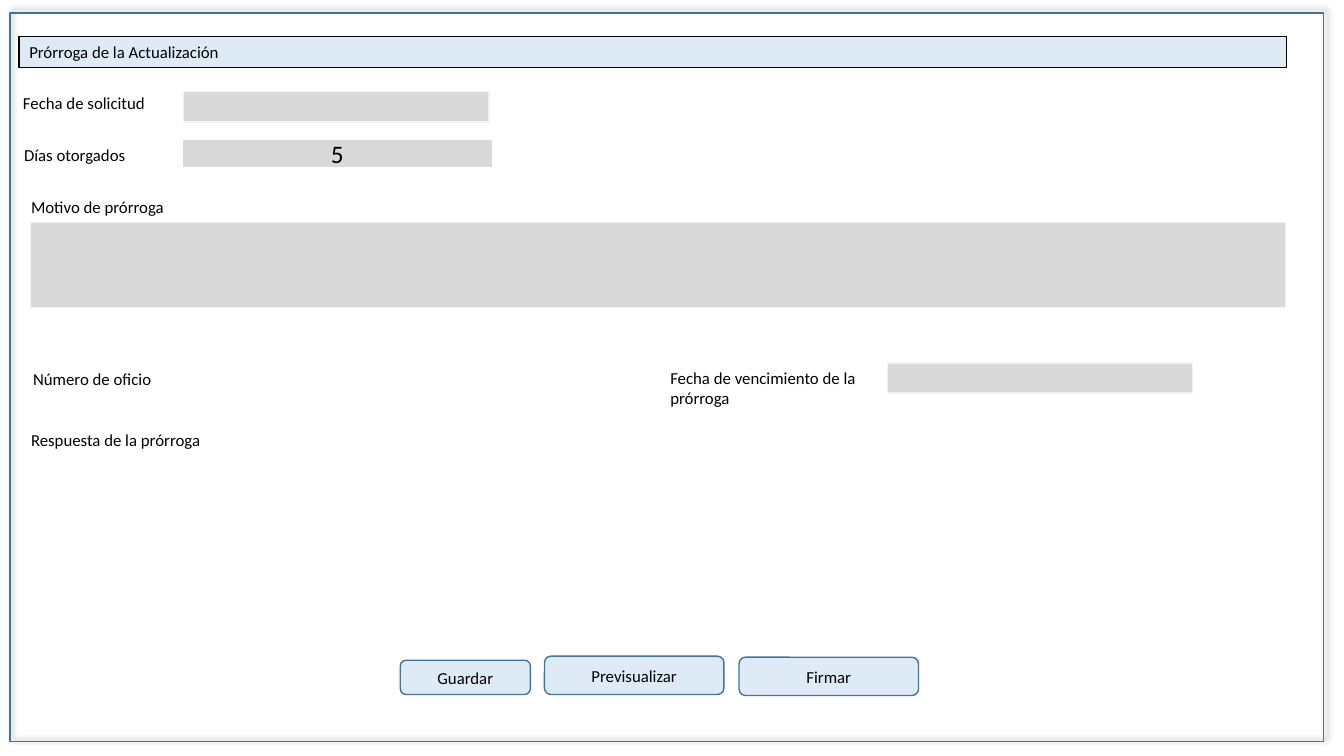
import pptx
import pptx.util
import pptx.dml.color
import pptx.enum.shapes
import pptx.enum.text
import pptx.oxml

Inches = pptx.util.Inches
Pt = pptx.util.Pt
RGBColor = pptx.dml.color.RGBColor
SHAPE = pptx.enum.shapes.MSO_SHAPE
ALIGN = pptx.enum.text.PP_ALIGN
ANCHOR = pptx.enum.text.MSO_ANCHOR
FIT = pptx.enum.text.MSO_AUTO_SIZE

BLACK = RGBColor(0x00, 0x00, 0x00)
BLUE = RGBColor(0x43, 0x73, 0x9E)
PALE = RGBColor(0xDE, 0xEB, 0xF7)
GREY = RGBColor(0xD9, 0xD9, 0xD9)
LIGHT = RGBColor(0xF2, 0xF2, 0xF2)

FONT = "Calibri"
SHADOW = (
    '<a:outerShdw xmlns:a="http://schemas.openxmlformats.org/drawingml/2006/main"'
    ' blurRad="50800" dist="38100" dir="18900000" algn="bl" rotWithShape="0">'
    '<a:srgbClr val="000000"><a:alpha val="40000"/></a:srgbClr></a:outerShdw>'
)

LABELS = [
    ("Fecha de solicitud", 0.13, 0.87, 3.37, 0.3),
    ("Días otorgados", 0.14, 1.39, 3.37, 0.3),
    ("Motivo de prórroga", 0.21, 1.9, 4, 0.3),
    ("Número de oficio", 0.23, 3.61, 3.37, 0.3),
    ("Fecha de vencimiento de la\nprórroga", 6.55, 3.6, 3.37, 0.5),
    ("Respuesta de la prórroga", 0.21, 4.21, 4, 0.3),
]
FIELDS = [
    (1.82, 0.91, 3.03, 0.3),
    (0.3, 2.21, 12.45, 0.84),
    (8.8, 3.6, 3.03, 0.3),
]
BUTTONS = [
    ("Guardar", 3.97, 6.55, 1.29, 0.34),
    ("Previsualizar", 5.4, 6.51, 1.78, 0.38),
    ("Firmar", 7.33, 6.52, 1.78, 0.38),
]


def write(shape, text, size=12, align=ALIGN.LEFT, anchor=ANCHOR.MIDDLE):
    frame = shape.text_frame
    frame.text = text
    frame.word_wrap = True
    frame.vertical_anchor = anchor
    for para in frame.paragraphs:
        para.alignment = align
        for run in para.runs:
            run.font.name = FONT
            run.font.size = Pt(size)
            run.font.color.rgb = BLACK


def paint(shape, fill, line):
    shape.fill.solid()
    shape.fill.fore_color.rgb = fill
    shape.line.color.rgb = line
    shape.line.width = Pt(1)


def add_box(slide, box, fill, line, kind=SHAPE.RECTANGLE):
    shape = slide.shapes.add_shape(kind, *map(Inches, box))
    shape.shadow.inherit = False
    paint(shape, fill, line)
    return shape


def add_frame(slide):
    """Outline the whole form, with a soft shadow."""
    frame = add_box(slide, (0.1, 0.13, 13.03, 7.23), LIGHT, BLUE)
    frame.fill.background()
    effects = frame.element.spPr.find(pptx.oxml.ns.qn("a:effectLst"))
    effects.append(pptx.oxml.parse_xml(SHADOW))


def add_title(slide, text):
    title = slide.shapes.title
    title.left, title.top = Inches(0.19), Inches(0.36)
    title.width, title.height = Inches(12.57), Inches(0.31)
    paint(title, PALE, BLACK)
    write(title, text)
    title.text_frame.auto_size = FIT.NONE


def add_label(slide, text, *box):
    label = slide.shapes.add_textbox(*map(Inches, box))
    write(label, text, anchor=ANCHOR.TOP)
    label.text_frame.auto_size = FIT.SHAPE_TO_FIT_TEXT


def add_button(slide, text, *box):
    button = add_box(slide, box, PALE, BLUE, SHAPE.ROUNDED_RECTANGLE)
    write(button, text, align=ALIGN.CENTER)


def main():
    deck = pptx.Presentation()
    deck.slide_width, deck.slide_height = Inches(13.33), Inches(7.5)
    slide = deck.slides.add_slide(deck.slide_layouts[5])
    add_frame(slide)
    add_title(slide, "Prórroga de la Actualización")
    for label in LABELS:
        add_label(slide, *label)
    for field in FIELDS:
        add_box(slide, field, GREY, LIGHT)
    days = add_box(slide, (1.82, 1.4, 3.05, 0.25), GREY, GREY)
    write(days, "5", size=18, align=ALIGN.CENTER)
    for button in BUTTONS:
        add_button(slide, *button)
    deck.save("out.pptx")


if __name__ == "__main__":
    main()
